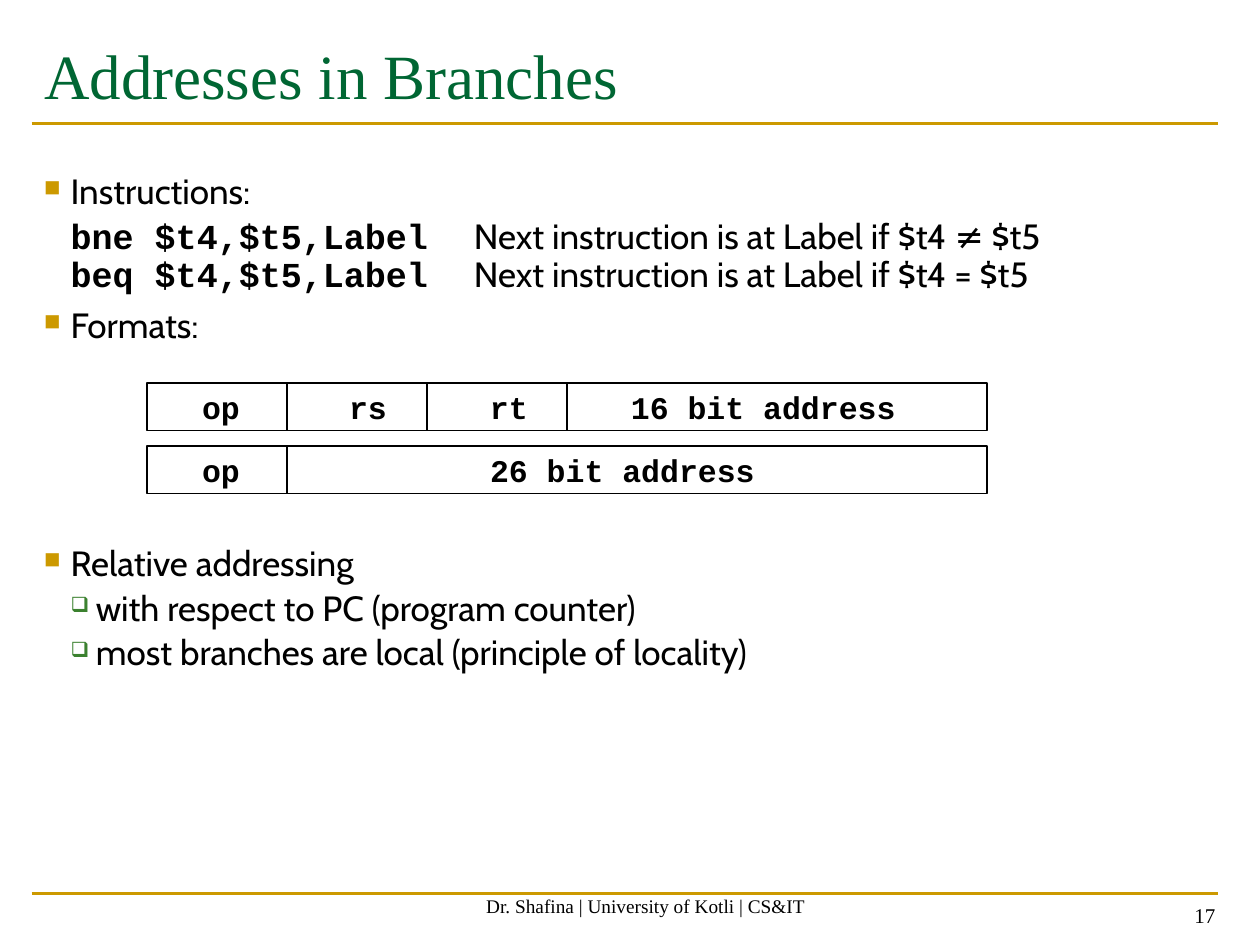
from lxml import etree
from pptx import Presentation
from pptx.dml.color import RGBColor
from pptx.enum import shapes, text
from pptx.oxml import ns
from pptx.util import Pt

COLORS = {"title": "006633", "gold": "CC9900", "green": "3B812F", "ink": "000000"}
SERIF, SANS, MONO = "Times New Roman", "Cabin", "Courier New"


def add_span(para, words, font=SANS, size=20, color="ink", bold=False):
    span = para.add_run()
    span.text = words
    span.font.name, span.font.size, span.font.bold = font, Pt(size), bold
    span.font.color.rgb = RGBColor.from_string(COLORS[color])


def format_para(para, margin, hang, before=0, after=0, bullet=None, color=None, percent=65):
    """Set the indent, spacing and optional bullet; lengths are in points."""
    para.line_spacing, para.space_before, para.space_after = 0.9, Pt(before), Pt(after)
    props = para._p.get_or_add_pPr()
    props.set("marL", str(Pt(margin)))
    props.set("indent", str(Pt(-hang)))
    if bullet:
        tint = etree.SubElement(props, ns.qn("a:buClr"))
        etree.SubElement(tint, ns.qn("a:srgbClr"), val=COLORS[color])
        etree.SubElement(props, ns.qn("a:buSzPct"), val=str(percent * 1000))
        etree.SubElement(props, ns.qn("a:buChar"), char=bullet)


deck = Presentation()
deck.slide_width, deck.slide_height = Pt(720), Pt(540)
page = deck.slides.add_slide(deck.slide_layouts[5])

# Gold rules above and below the content
for y in (70.6, 510.5):
    rule = page.shapes.add_connector(shapes.MSO_CONNECTOR.STRAIGHT, Pt(18), Pt(y), Pt(696), Pt(y))
    rule.line.color.rgb = RGBColor.from_string(COLORS["gold"])
    rule.line.width = Pt(1.5)
    etree.SubElement(rule._element.spPr, ns.qn("a:effectLst"))

title = page.shapes.title
title.left, title.top, title.width, title.height = Pt(18), Pt(17), Pt(678), Pt(52)
title.text_frame.vertical_anchor = text.MSO_ANCHOR.TOP
title.text_frame.auto_size = text.MSO_AUTO_SIZE.NONE
para = title.text_frame.paragraphs[0]
para.alignment = text.PP_ALIGN.LEFT
add_span(para, "Addresses in Branches", font=SERIF, size=36, color="title")

# Bulleted text above and below the instruction formats
square = dict(margin=15.3, hang=15.3, bullet="■", color="gold")
hollow = dict(margin=29.7, hang=14.4, before=4, bullet="❑", color="green", percent=60)
code = dict(margin=29.7, hang=14.4)
sections = [
    (96, 110, [
        ("", "Instructions:", dict(square, before=4)),
        ("bne $t4,$t5,Label", "\tNext instruction is at Label if $t4 ≠ $t5", dict(code, before=4)),
        ("beq $t4,$t5,Label", "\tNext instruction is at Label if $t4 = $t5", dict(code, after=8)),
        ("", "Formats:", square),
    ]),
    (308.5, 90, [
        ("", "Relative addressing", dict(square, before=4)),
        ("", "with respect to PC (program counter)", hollow),
        ("", "most branches are local (principle of locality)", hollow),
    ]),
]
for top, height, lines in sections:
    frame = page.shapes.add_textbox(Pt(18), Pt(top), Pt(678), Pt(height)).text_frame
    frame.word_wrap = True
    for index, (instruction, words, layout) in enumerate(lines):
        para = frame.add_paragraph() if index else frame.paragraphs[0]
        format_para(para, **layout)
        if instruction:
            add_span(para, instruction, font=MONO, bold=True)
        add_span(para, words)

# Instruction formats: field name, width in units of 80 pt, text inset
formats = [
    [("op", 1, 31.5), ("rs", 1, 35.5), ("rt", 1, 36), ("16 bit address", 3, 36.5)],
    [("op", 1, 31.5), ("26 bit address", 5, 116)],
]
for row, fields in enumerate(formats):
    left = 84
    for name, units, inset in fields:
        box = page.shapes.add_shape(shapes.MSO_SHAPE.RECTANGLE, Pt(left), Pt(219 + 36 * row),
                                    Pt(80 * units), Pt(27))
        box.shadow.inherit = False
        box.fill.background()
        box.line.color.rgb = RGBColor.from_string(COLORS["ink"])
        box.line.width = Pt(1)
        frame = box.text_frame
        frame.word_wrap = False
        frame.margin_left, frame.margin_right = Pt(inset), Pt(0)
        frame.margin_top = frame.margin_bottom = Pt(0)
        frame.vertical_anchor = text.MSO_ANCHOR.MIDDLE
        para = frame.paragraphs[0]
        para.alignment = text.PP_ALIGN.LEFT
        add_span(para, name, font=MONO, size=18, bold=True)
        left += 80 * units

# Footer and page number
footers = [
    ("Dr. Shafina | University of Kotli | CS&IT", 246, 492, 246, 11, text.PP_ALIGN.CENTER),
    ("17", 533.5, 497.5, 168, 12, text.PP_ALIGN.RIGHT),
]
for words, left, top, width, size, alignment in footers:
    frame = page.shapes.add_textbox(Pt(left), Pt(top), Pt(width), Pt(36)).text_frame
    frame.word_wrap = True
    frame.vertical_anchor = text.MSO_ANCHOR.BOTTOM
    para = frame.paragraphs[0]
    para.alignment = alignment
    add_span(para, words, font=SERIF, size=size)

deck.save("out.pptx")
